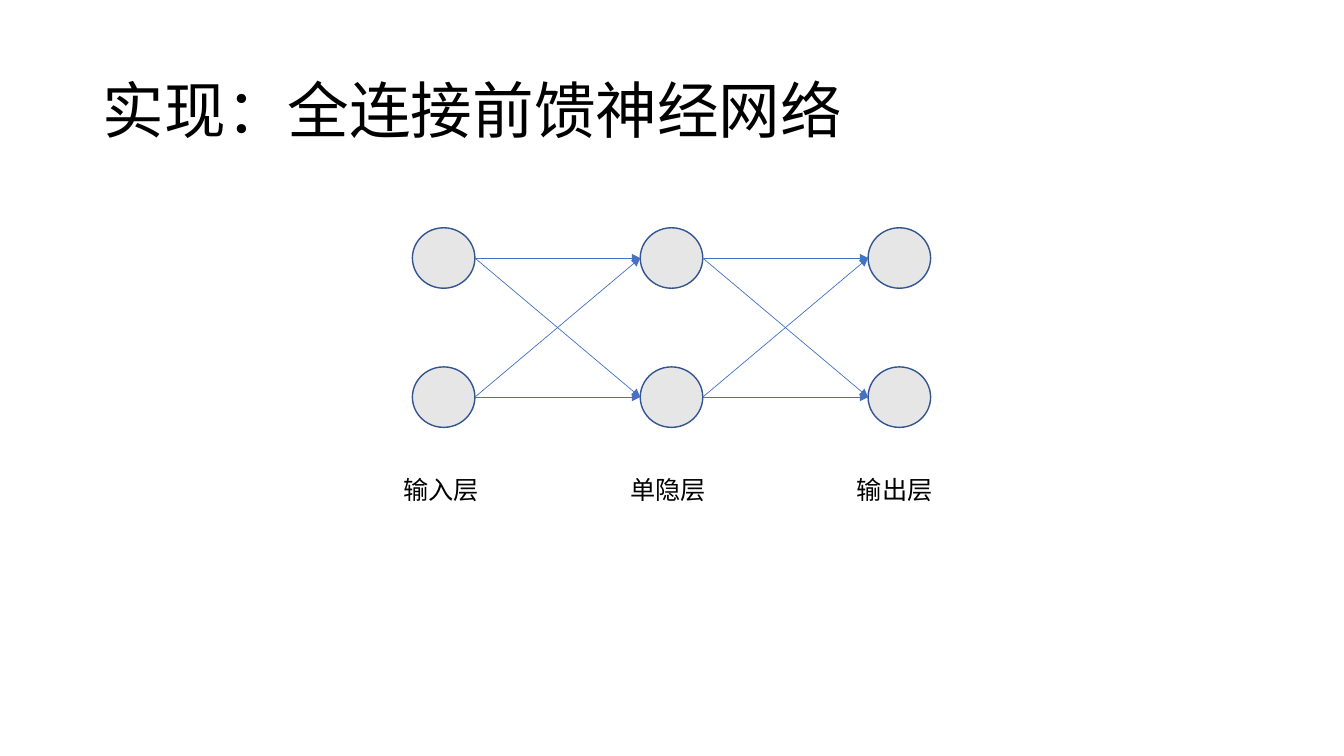
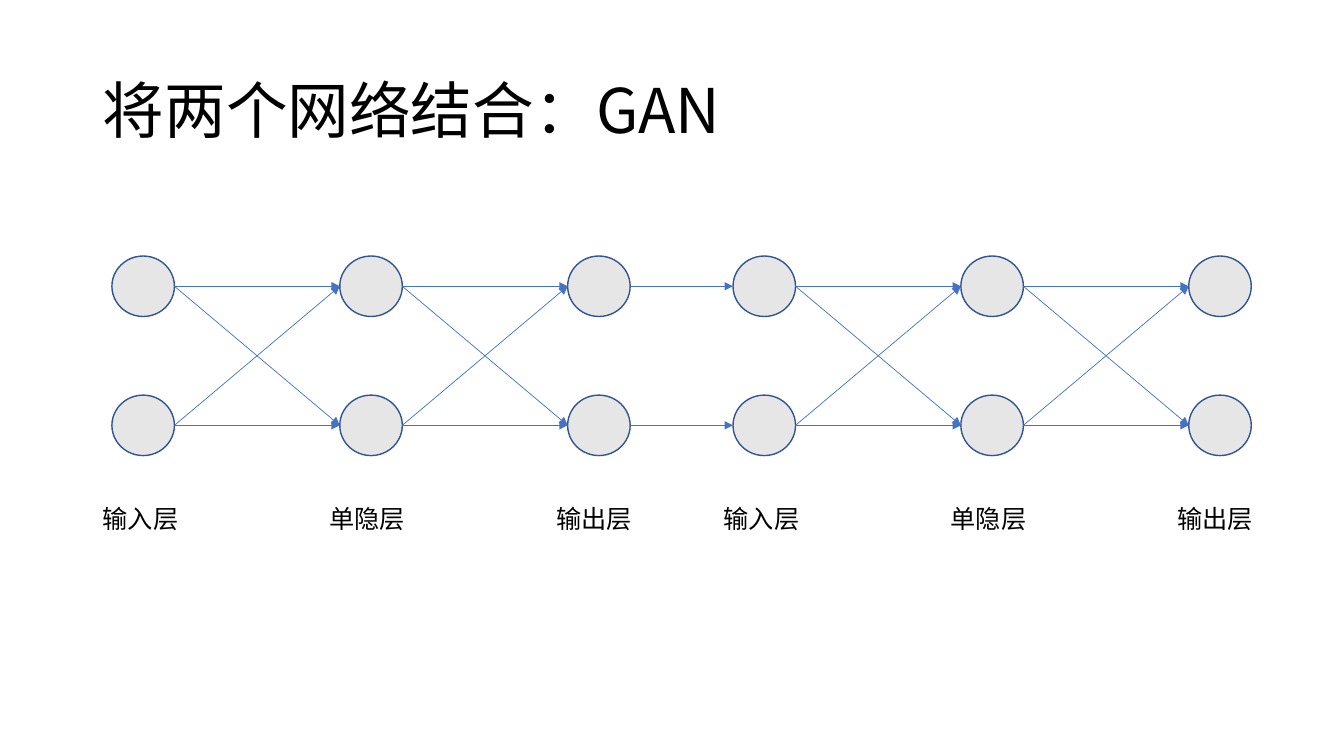
from dataclasses import dataclass
from itertools import pairwise, product

from lxml.etree import SubElement
from pptx import Presentation
from pptx.dml.color import RGBColor
from pptx.enum.lang import MSO_LANGUAGE_ID
from pptx.enum.shapes import MSO_CONNECTOR, MSO_SHAPE
from pptx.enum.text import MSO_ANCHOR, MSO_AUTO_SIZE, PP_ALIGN
from pptx.oxml.ns import qn
from pptx.util import Inches, Pt


@dataclass(frozen=True)
class Theme:
    """Colours, font, type sizes and line widths shared by the deck."""
    font: str = "Noto Sans CJK SC"
    text: RGBColor = RGBColor(0x00, 0x00, 0x00)
    background: RGBColor = RGBColor(0xFF, 0xFF, 0xFF)
    node_fill: RGBColor = RGBColor(0xE7, 0xE6, 0xE6)
    node_line: RGBColor = RGBColor(0x32, 0x54, 0x91)
    link: RGBColor = RGBColor(0x44, 0x72, 0xC4)
    title_size: float = 44
    label_size: float = 18
    node_line_width: float = 1
    link_width: float = 0.5


@dataclass(frozen=True)
class Box:
    """A rectangle in inches."""
    left: float
    top: float
    width: float
    height: float

    @property
    def middle(self):
        """Height of the horizontal centre line."""
        return self.top + self.height / 2

    @property
    def right(self):
        """Position of the right edge."""
        return self.left + self.width

    def lengths(self):
        """Return the four lengths in the order python-pptx expects."""
        return [Inches(value) for value in (self.left, self.top, self.width, self.height)]


THEME = Theme()
TITLE_BOX = Box(0.92, 0.4, 11.5, 1.45)
LAYERS = ("输入层", "单隐层", "输出层")
NODE_WIDTH, NODE_HEIGHT = 0.62, 0.6
LABEL_WIDTH, LABEL_HEIGHT = 1.02, 0.4
LABEL_PITCH, LABEL_INDENT = 2.25, 0.19
LABEL_DROP = 1.02
NETWORK_WIDTH, NETWORK_HEIGHT = 5.14, 2.8


def add_span(para, text, size):
    """Add one run in the deck font, for Latin and Chinese alike."""
    span = para.add_run()
    span.text = text
    span.font.size = Pt(size)
    span.font.name = THEME.font
    span.font.color.rgb = THEME.text
    span.font.language_id = MSO_LANGUAGE_ID.SIMPLIFIED_CHINESE
    SubElement(span.font._element, qn("a:ea"), typeface=THEME.font)


def add_page(deck, title, box):
    """Add a title-only page with its title placed in the box."""
    page = deck.slides.add_slide(deck.slide_layouts.get_by_name("Title Only"))
    page.background.fill.solid()
    page.background.fill.fore_color.rgb = THEME.background
    holder = page.shapes.title
    holder.left, holder.top, holder.width, holder.height = box.lengths()
    holder.text_frame.vertical_anchor = MSO_ANCHOR.MIDDLE
    para = holder.text_frame.paragraphs[0]
    para.alignment = PP_ALIGN.LEFT
    para.line_spacing = 0.9
    add_span(para, title, THEME.title_size)
    return page


def add_node(page, box):
    """Draw one neuron."""
    node = page.shapes.add_shape(MSO_SHAPE.OVAL, *box.lengths())
    node.shadow.inherit = False
    node.fill.solid()
    node.fill.fore_color.rgb = THEME.node_fill
    node.line.color.rgb = THEME.node_line
    node.line.width = Pt(THEME.node_line_width)


def add_link(page, source, target):
    """Draw an arrow from the right of one node to the left of another."""
    ends = (source.right, source.middle, target.left, target.middle)
    link = page.shapes.add_connector(MSO_CONNECTOR.STRAIGHT, *map(Inches, ends))
    link.line.color.rgb = THEME.link
    link.line.width = Pt(THEME.link_width)
    SubElement(link.line._get_or_add_ln(), qn("a:tailEnd"), type="triangle")
    SubElement(link._element.spPr, qn("a:effectLst"))


def add_label(page, text, box):
    """Write the name of a layer."""
    label = page.shapes.add_textbox(*box.lengths())
    label.text_frame.word_wrap = True
    label.text_frame.auto_size = MSO_AUTO_SIZE.SHAPE_TO_FIT_TEXT
    add_span(label.text_frame.paragraphs[0], text, THEME.label_size)


def add_network(page, box):
    """Draw a fully connected network and return its nodes by layer."""
    label_top = box.top + box.height - LABEL_HEIGHT
    rows = (box.top, label_top - LABEL_DROP)
    pitch = (box.width - NODE_WIDTH) / (len(LAYERS) - 1)
    layers = [
        [Box(box.left + column * pitch, top, NODE_WIDTH, NODE_HEIGHT) for top in rows]
        for column in range(len(LAYERS))
    ]
    for layer in layers:
        for node in layer:
            add_node(page, node)
    for before, after in pairwise(layers):
        for source, target in product(before, after):
            add_link(page, source, target)
    for column, text in enumerate(LAYERS):
        left = box.left - LABEL_INDENT + column * LABEL_PITCH
        add_label(page, text, Box(left, label_top, LABEL_WIDTH, LABEL_HEIGHT))
    return layers


def add_single_page(deck):
    """Build the page with one network."""
    page = add_page(deck, "实现：全连接前馈神经网络", TITLE_BOX)
    add_network(page, Box(4.09, 2.26, NETWORK_WIDTH, NETWORK_HEIGHT))


def add_combined_page(deck):
    """Build the page with two networks joined in a row."""
    page = add_page(deck, "将两个网络结合：GAN", TITLE_BOX)
    first, second = [
        add_network(page, Box(left, 2.54, NETWORK_WIDTH, NETWORK_HEIGHT))
        for left in (1.11, 7.27)
    ]
    for source, target in zip(first[-1], second[0]):
        add_link(page, source, target)


def main():
    """Build and save the deck."""
    deck = Presentation()
    deck.slide_width, deck.slide_height = Inches(13.33), Inches(7.5)
    add_single_page(deck)
    add_combined_page(deck)
    deck.save("out.pptx")


if __name__ == "__main__":
    main()
